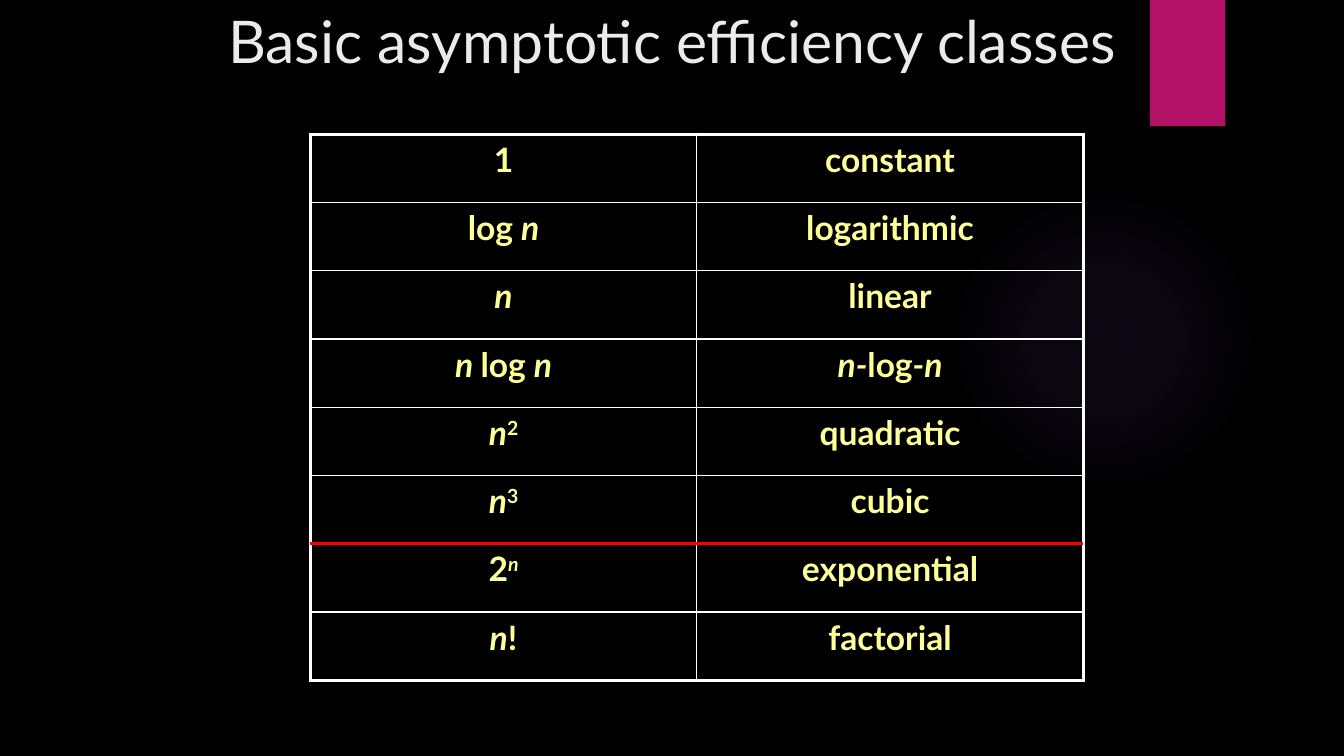
from dataclasses import dataclass

from lxml import etree
from pptx import Presentation
from pptx.dml.color import RGBColor
from pptx.enum.shapes import MSO_CONNECTOR, MSO_SHAPE
from pptx.enum.text import MSO_ANCHOR, PP_ALIGN
from pptx.oxml import parse_xml
from pptx.oxml.ns import nsdecls, qn
from pptx.util import Cm, Pt

LINE = MSO_CONNECTOR.STRAIGHT
ELLIPSE, RECT = MSO_SHAPE.OVAL, MSO_SHAPE.RECTANGLE
CENTER, TOP = PP_ALIGN.CENTER, MSO_ANCHOR.TOP


@dataclass(frozen=True)
class Theme:
    font: str = "Lato"
    back: str = "000000"
    accent: str = "B31166"
    glow: str = "9B6BF2"
    title: str = "EBEBEB"
    cell: str = "FFFF99"
    border: str = "FFFFFF"
    divider: str = "FF0000"
    title_size: int = 42
    cell_size: int = 24
    thin: float = 1
    thick: float = 2.25


THEME = Theme()
PLAIN, ITALIC, SUPER, SUPER_ITALIC = "", "i", "s", "si"

# Each row: growth function and class name, as (text, style) runs
CLASSES = [
    ([("1", PLAIN)], [("constant", PLAIN)]),
    ([("log ", PLAIN), ("n", ITALIC)], [("logarithmic", PLAIN)]),
    ([("n", ITALIC)], [("linear", PLAIN)]),
    ([("n ", ITALIC), ("log ", PLAIN), ("n", ITALIC)],
     [("n-", ITALIC), ("log", PLAIN), ("-n", ITALIC)]),
    ([("n", ITALIC), ("2", SUPER)], [("quadratic", PLAIN)]),
    ([("n", ITALIC), ("3", SUPER)], [("cubic", PLAIN)]),
    ([("2", PLAIN), ("n", SUPER_ITALIC)], [("exponential", PLAIN)]),
    ([("n", ITALIC), ("!", PLAIN)], [("factorial", PLAIN)]),
]
POLYNOMIAL_ROWS = 6


def rgb(color):
    return RGBColor.from_string(color)


def style_font(font, size, color):
    font.name, font.size = THEME.font, Pt(size)
    font.color.rgb = rgb(color)


def add_plain_shape(slide, kind, box):
    sp = slide.shapes.add_shape(kind, *map(Cm, box))
    sp.shadow.inherit = False
    sp.line.fill.background()
    return sp


def add_glow(slide, box):
    sp = add_plain_shape(slide, ELLIPSE, box)
    stops = "".join(
        f'<a:gs pos="{pos * 1000}"><a:srgbClr val="{THEME.glow}">'
        f'<a:alpha val="{alpha * 1000}"/></a:srgbClr></a:gs>'
        for pos, alpha in ((0, 7), (36, 6), (69, 0)))
    sp._element.spPr.find(qn("a:prstGeom")).addnext(parse_xml(
        f'<a:gradFill {nsdecls("a")}><a:gsLst>{stops}</a:gsLst>'
        '<a:path path="circle"><a:fillToRect l="50000" t="50000" '
        'r="50000" b="50000"/></a:path></a:gradFill>'))


def add_accent_bar(slide, box):
    sp = add_plain_shape(slide, RECT, box)
    sp.fill.solid()
    sp.fill.fore_color.rgb = rgb(THEME.accent)


def add_title(slide, box, text):
    sp = slide.shapes.title
    sp.left, sp.top, sp.width, sp.height = map(Cm, box)
    slide.shapes._spTree.append(sp._element)  # in front of the decoration
    tf = sp.text_frame
    tf.text, tf.vertical_anchor, tf.word_wrap = text, TOP, True
    p = tf.paragraphs[0]
    p.alignment = CENTER
    style_font(p.runs[0].font, THEME.title_size, THEME.title)


def set_borders(cell, outer_sides):
    tcPr = cell._tc.get_or_add_tcPr()
    for i, side in enumerate("LRTB"):
        width = THEME.thick if side in outer_sides else THEME.thin
        tcPr.insert(i, parse_xml(
            f'<a:ln{side} {nsdecls("a")} w="{Pt(width)}"><a:solidFill>'
            f'<a:srgbClr val="{THEME.border}"/></a:solidFill></a:ln{side}>'))


def fill_cell(cell, runs):
    cell.fill.background()
    cell.vertical_anchor = TOP
    p = cell.text_frame.paragraphs[0]
    p.alignment = CENTER
    for text, style in runs:
        r = p.add_run()
        r.text = text
        style_font(r.font, THEME.cell_size, THEME.cell)
        r.font.bold, r.font.italic = True, "i" in style
        if "s" in style:
            r.font._element.set("baseline", "30000")


def add_class_table(slide, box):
    left, top, width, height = box
    n_rows, n_cols = len(CLASSES), len(CLASSES[0])
    table = slide.shapes.add_table(n_rows, n_cols, *map(Cm, box)).table
    table.first_row = table.horz_banding = False
    for col in table.columns:
        col.width = Cm(width / n_cols)
    for i, entry in enumerate(CLASSES):
        table.rows[i].height = Cm(height / n_rows)
        for j, runs in enumerate(entry):
            cell = table.cell(i, j)
            fill_cell(cell, runs)
            outer = {"L": j == 0, "R": j == n_cols - 1,
                     "T": i == 0, "B": i == n_rows - 1}
            set_borders(cell, [side for side in outer if outer[side]])

    # Divider between polynomial and faster-growing classes
    y = top + height * POLYNOMIAL_ROWS / n_rows
    line = slide.shapes.add_connector(
        LINE, Cm(left), Cm(y), Cm(left + width), Cm(y))
    line.line.color.rgb = rgb(THEME.divider)
    line.line.width = Pt(THEME.thick)
    etree.SubElement(line._element.spPr, qn("a:effectLst"))


def main():
    prs = Presentation()
    prs.slide_width, prs.slide_height = Cm(33.87), Cm(19.05)
    slide = prs.slides.add_slide(prs.slide_layouts[5])
    slide.background.fill.solid()
    slide.background.fill.fore_color.rgb = rgb(THEME.back)

    # Boxes are left, top, width, height in centimetres
    add_glow(slide, (23.9, 4.65, 7.82, 7.82))
    add_accent_bar(slide, (28.98, 0, 1.9, 3.18))
    add_title(slide, (0, 0, 33.87, 2.67), "Basic asymptotic efficiency classes")
    add_class_table(slide, (7.82, 3.38, 19.48, 13.76))
    prs.save("out.pptx")


if __name__ == "__main__":
    main()
